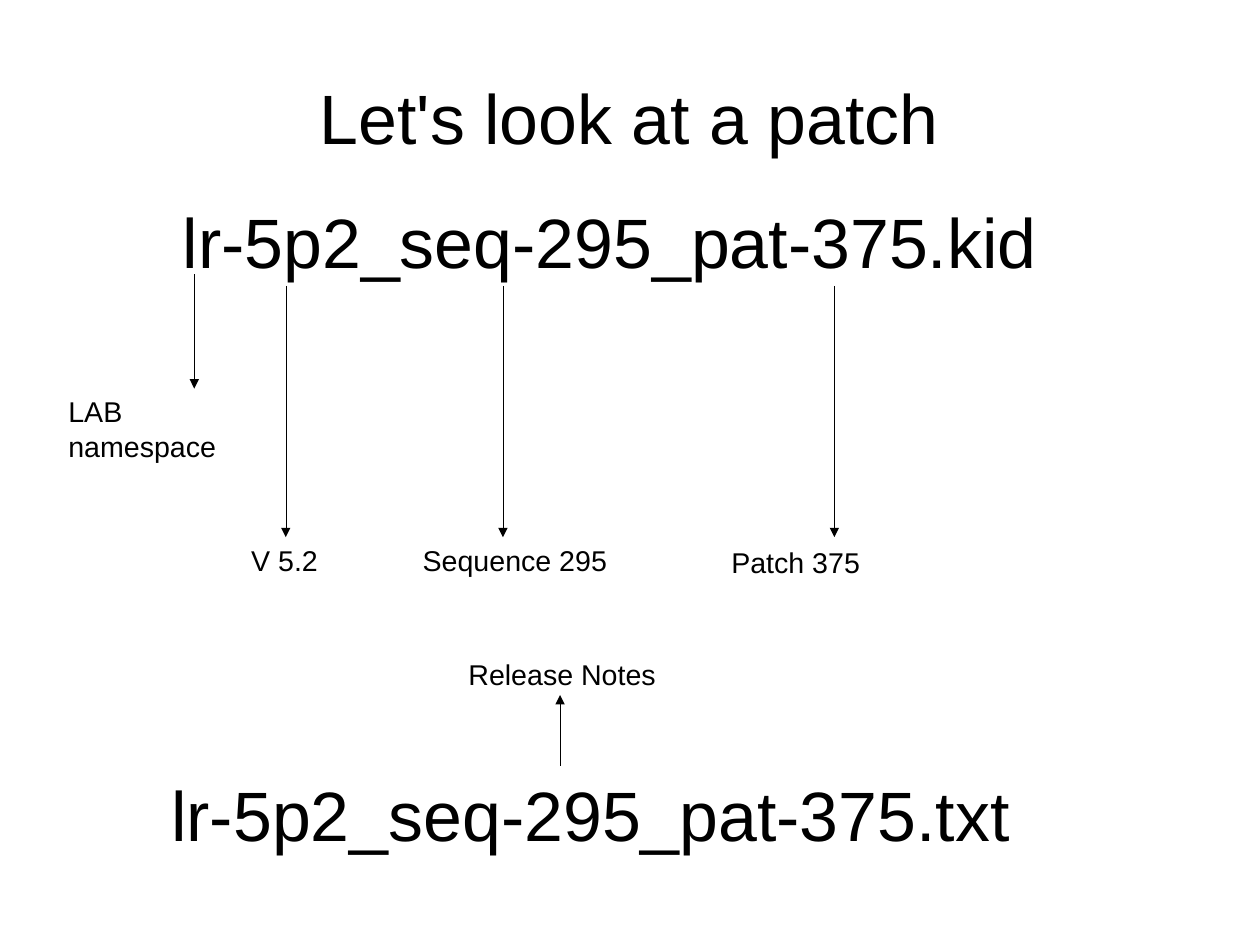
import pptx
import pptx.util
import pptx.dml.color
import pptx.enum.shapes
import pptx.enum.text
import pptx.oxml
import pptx.oxml.ns

Inches = pptx.util.Inches
COLORS = {"ink": "000000", "paper": "FFFFFF"}
FONT = "Arial"
FILE_SIZE, LABEL_SIZE = 44, 18
# The page is 28 by 21 cm
CM_PER_INCH = 2.54
PAGE_WIDTH, PAGE_HEIGHT = 28 / CM_PER_INCH, 21 / CM_PER_INCH

# Content: text, (left, top, width, height)
TITLE = ("Let's look at a patch", (0.55, 0.33, 9.92, 1.38))
FILE_NAMES = [
    ("lr-5p2_seq-295_pat-375.kid", (1.5, 1.69, 8, 0.81)),
    ("lr-5p2_seq-295_pat-375.txt", (1.4, 6.7, 7.7, 0.78)),
]
# Labels also have their arrow: x, start y, tip y
LABELS = [
    ("LAB namespace", (0.5, 3.4, 1.7, 0.66), (1.7, 2.4, 3.4)),
    ("V 5.2", (2.1, 4.7, 0.8, 0.38), (2.5, 2.5, 4.7)),
    ("Sequence 295", (3.6, 4.7, 1.9, 0.38), (4.4, 2.5, 4.7)),
    ("Patch 375", (6.3, 4.72, 2.3, 0.38), (7.3, 2.5, 4.7)),
    ("Release Notes", (4, 5.7, 1.9, 0.38), (4.9, 6.7, 6.08)),
]


def color(name):
    return pptx.dml.color.RGBColor.from_string(COLORS[name])


def write(box, text, size, frame_format):
    frame = box.text_frame
    frame.text = text
    for key, value in frame_format.items():
        setattr(frame, key, value)
    font = frame.paragraphs[0].runs[0].font
    for key, value in {"name": FONT, "size": pptx.util.Pt(size)}.items():
        setattr(font, key, value)
    font.color.rgb = color("ink")


def add_text(slide, text, area, size):
    box = slide.shapes.add_textbox(*map(Inches, area))
    write(box, text, size, {
        "word_wrap": True,
        "auto_size": pptx.enum.text.MSO_AUTO_SIZE.SHAPE_TO_FIT_TEXT,
    })
    return box


def add_arrow(slide, x, start, tip):
    arrow = slide.shapes.add_connector(
        pptx.enum.shapes.MSO_CONNECTOR.STRAIGHT,
        Inches(x), Inches(start), Inches(x), Inches(tip))
    arrow.line.color.rgb = color("ink")
    # Hairline with an arrowhead and no shadow
    line = arrow.line._get_or_add_ln()
    line.set("w", "0")
    line.append(pptx.oxml.parse_xml(
        f'<a:tailEnd {pptx.oxml.ns.nsdecls("a")} type="triangle"/>'))
    arrow._element.spPr.append(pptx.oxml.parse_xml(
        f'<a:effectLst {pptx.oxml.ns.nsdecls("a")}/>'))
    return arrow


def main():
    deck = pptx.Presentation()
    deck.slide_width = Inches(PAGE_WIDTH)
    deck.slide_height = Inches(PAGE_HEIGHT)
    slide = deck.slides.add_slide(deck.slide_layouts[5])
    slide.background.fill.solid()
    slide.background.fill.fore_color.rgb = color("paper")

    # Title
    text, area = TITLE
    title = slide.shapes.title
    for key, value in zip(("left", "top", "width", "height"), area):
        setattr(title, key, Inches(value))
    margins = dict.fromkeys(
        ("margin_left", "margin_top", "margin_right", "margin_bottom"), 0)
    write(title, text, FILE_SIZE, {
        **margins,
        "word_wrap": True,
        "vertical_anchor": pptx.enum.text.MSO_ANCHOR.MIDDLE,
    })
    title.text_frame.paragraphs[0].alignment = pptx.enum.text.PP_ALIGN.CENTER

    # File names
    for text, area in FILE_NAMES:
        add_text(slide, text, area, FILE_SIZE)

    # Labels with their arrows
    for text, area, (x, start, tip) in LABELS:
        label = add_text(slide, text, area, LABEL_SIZE)
        arrow = add_arrow(slide, x, start, tip)
        left, top, width, _ = area
        if abs(left + width / 2 - x) < 0.01 and abs(top - tip) < 0.01:
            arrow.end_connect(label, 0)

    deck.save("out.pptx")


if __name__ == "__main__":
    main()
